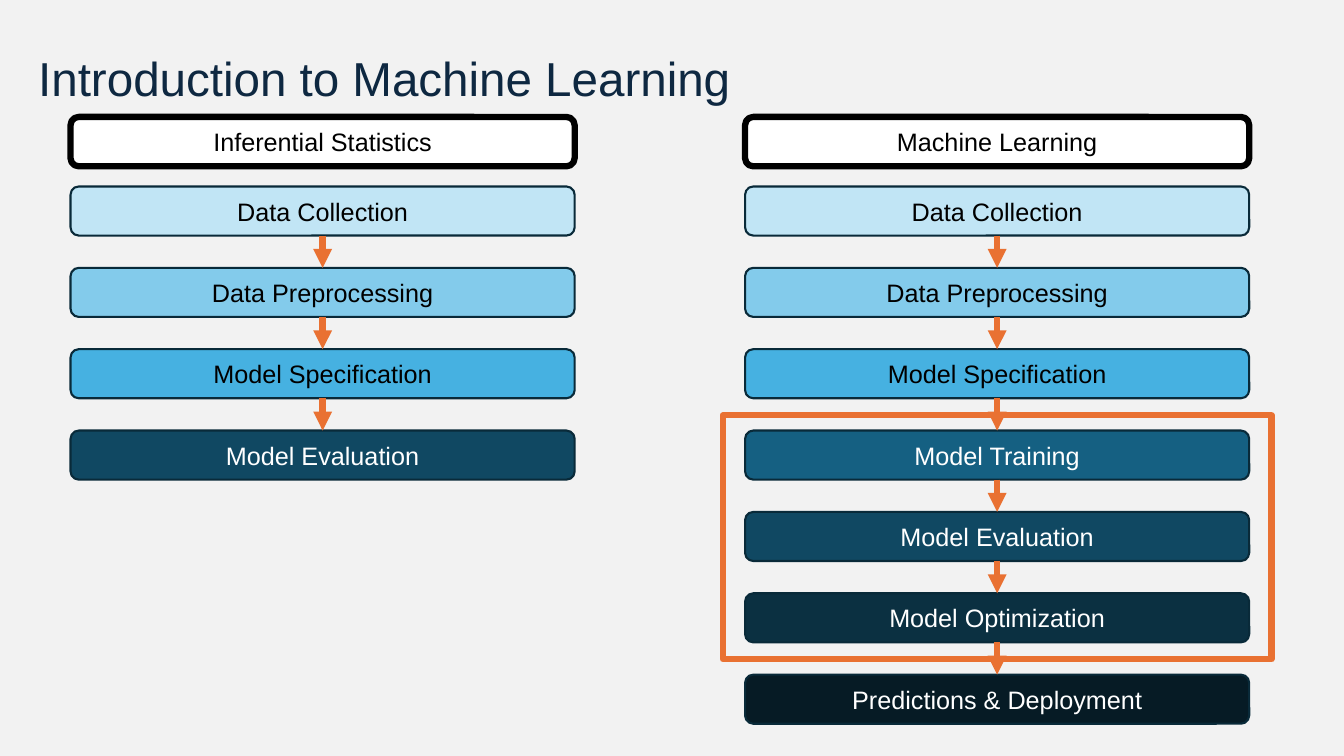
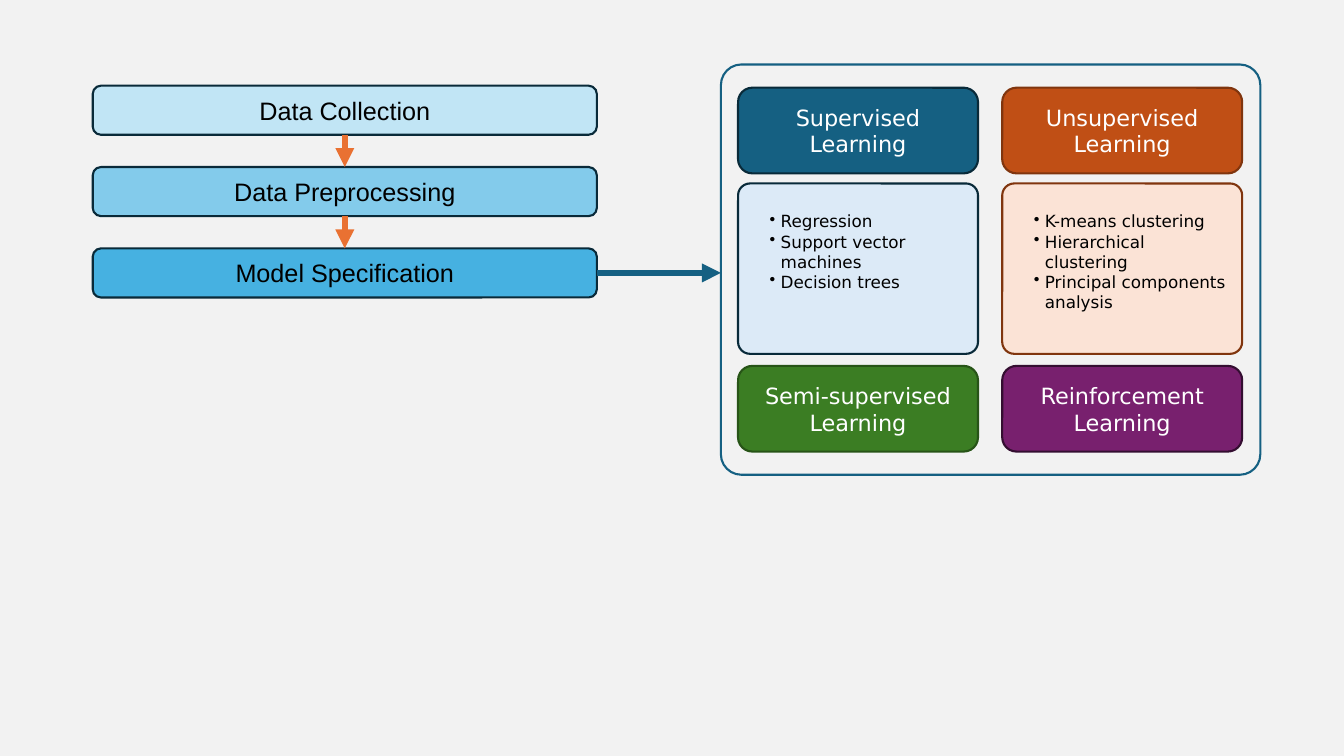
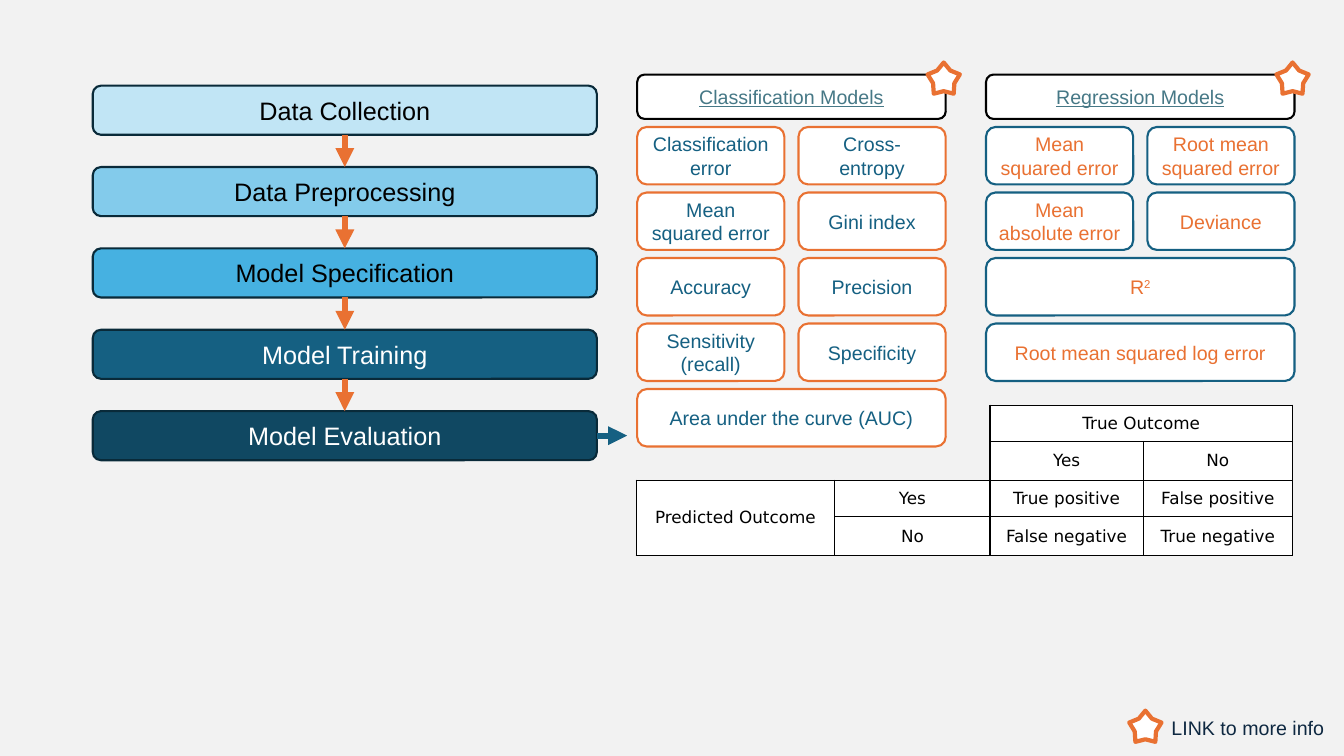
from dataclasses import dataclass

from lxml import etree
from pptx import Presentation
from pptx.dml.color import RGBColor
from pptx.enum.shapes import MSO_CONNECTOR, MSO_SHAPE
from pptx.enum.text import MSO_ANCHOR, PP_ALIGN
from pptx.oxml.ns import qn
from pptx.util import Inches, Pt

ROUND, RECT, STAR = MSO_SHAPE.ROUNDED_RECTANGLE, MSO_SHAPE.RECTANGLE, MSO_SHAPE.STAR_5_POINT
LINE = MSO_CONNECTOR.STRAIGHT
MID, TOP = MSO_ANCHOR.MIDDLE, MSO_ANCHOR.TOP
LEFT, CENTER = PP_ALIGN.LEFT, PP_ALIGN.CENTER


@dataclass(frozen=True)
class Theme:
    """Colours, fonts, type sizes and line widths of the deck."""
    page: str = "F2F2F2"
    white: str = "FFFFFF"
    black: str = "000000"
    navy: str = "0E2841"
    edge: str = "092A39"
    blue: str = "156082"
    orange: str = "E97132"
    link: str = "467886"
    sans: str = "Arial"
    alt: str = "DejaVu Sans"
    title: int = 34
    step: int = 18
    kind: int = 16
    note: int = 14
    small: int = 12
    thin: float = 1.5
    mid: float = 3
    thick: float = 4.5


T = Theme()

STEPS = {
    "Data Collection": ("C1E5F5", T.black),
    "Data Preprocessing": ("83CBEB", T.black),
    "Model Specification": ("46B1E1", T.black),
    "Model Training": (T.blue, T.white),
    "Model Evaluation": ("104862", T.white),
    "Model Optimization": ("0B3041", T.white),
    "Predictions & Deployment": ("061B25", T.white),
}
NAMES = list(STEPS)

KINDS = [
    ("Supervised Learning", T.blue, T.edge, "DCEAF7",
     ["Regression", "Support vector machines", "Decision trees"],
     "Semi-supervised Learning", "3B7D23", "275417"),
    ("Unsupervised Learning", "C04F15", "80350E", "FBE3D6",
     ["K-means clustering", "Hierarchical clustering", "Principal components analysis"],
     "Reinforcement Learning", "78206E", "340E31"),
]

CLASSES = [
    ("Classification error", "Cross-entropy"),
    ("Mean squared error", "Gini index"),
    ("Accuracy", "Precision"),
    ("Sensitivity (recall)", "Specificity"),
    ("Area under the curve (AUC)",),
]
REGRESS = [
    ("Mean squared error", "Root mean squared error"),
    ("Mean absolute error", "Deviance"),
    ("R^2",),
    ("Root mean squared log error",),
]

MATRIX = [
    ["", "", "True Outcome", ""],
    ["", "", "Yes", "No"],
    ["Predicted Outcome", "Yes", "True positive", "False positive"],
    ["", "No", "False negative", "True negative"],
]
MERGES = [(0, 0, 1, 1), (0, 2, 0, 3), (2, 0, 3, 0)]


@dataclass(frozen=True)
class Box:
    """A rectangle in inches that can be cut into parts."""
    x: float
    y: float
    w: float
    h: float

    def cell(self, col, row, cols, rows, gapx=0, gapy=0):
        """Return one cell of an even grid."""
        w = (self.w - gapx * (cols - 1)) / cols
        h = (self.h - gapy * (rows - 1)) / rows
        return Box(self.x + col * (w + gapx), self.y + row * (h + gapy), w, h)

    def band(self, top, high):
        """Return a full-width strip at an offset from the top."""
        return Box(self.x, self.y + top, self.w, high)

    def emu(self):
        """Return the box as python-pptx lengths."""
        return [Inches(v) for v in (self.x, self.y, self.w, self.h)]


def rgb(code):
    """Turn a hex code into a colour."""
    return RGBColor.from_string(code)


def write(para, text, size, ink, font=T.sans, align=CENTER, under=False):
    """Add text in runs; what follows a caret is superscript."""
    para.alignment = align
    for i, part in enumerate(text.split("^")):
        run = para.add_run()
        run.text = part
        run.font.size, run.font.name = Pt(size), font
        run.font.color.rgb = rgb(ink)
        if under:
            run.font.underline = True
        if i:
            run.font._element.set("baseline", "30000")


def shape(slide, box, fill, edge, width=T.thin, form=ROUND, adj=None):
    """Draw a preset shape with an optional fill."""
    item = slide.shapes.add_shape(form, *box.emu())
    item.shadow.inherit = False
    if fill:
        item.fill.solid()
        item.fill.fore_color.rgb = rgb(fill)
    else:
        item.fill.background()
    item.line.color.rgb = rgb(edge)
    item.line.width = Pt(width)
    if adj is not None:
        item.adjustments[0] = adj
    return item


def tile(slide, box, text, fill, edge, ink, size, font=T.sans, width=T.thin, under=False):
    """Draw a rounded box with a centred label."""
    item = shape(slide, box, fill, edge, width)
    frame = item.text_frame
    frame.word_wrap, frame.vertical_anchor = True, MID
    write(frame.paragraphs[0], text, size, ink, font, under=under)
    return item


def label(slide, box, text, size, anchor=TOP, wrap=True, lead=None):
    """Place plain navy text."""
    frame = slide.shapes.add_textbox(*box.emu()).text_frame
    frame.word_wrap, frame.vertical_anchor = wrap, anchor
    para = frame.paragraphs[0]
    if lead:
        para.line_spacing = lead
    write(para, text, size, T.navy, align=LEFT)


def arrow(slide, x1, y1, x2, y2, ink):
    """Draw a thick arrow between two points."""
    item = slide.shapes.add_connector(LINE, *[Inches(v) for v in (x1, y1, x2, y2)])
    item.line.color.rgb = rgb(ink)
    item.line.width = Pt(T.thick)
    props = item._element.spPr
    etree.SubElement(props.find(qn("a:ln")), qn("a:tailEnd"), type="triangle")
    etree.SubElement(props, qn("a:effectLst"))
    return item


def flow(slide, box, names):
    """Stack steps on a seven-row grid, joined by arrows; return the last cell."""
    prior = None
    for i, name in enumerate(names):
        cell = box.cell(0, i, 1, 7, gapy=0.32)
        fill, ink = STEPS[name]
        item = tile(slide, cell, name, fill, T.edge, ink, T.step)
        if prior:
            link = arrow(slide, 0, 0, 0, 0, T.orange)
            link.begin_connect(prior, 2)
            link.end_connect(item, 0)
        prior = item
    return cell


def bullets(slide, box, lines, fill, edge):
    """Draw a rounded box with a bulleted list."""
    frame = shape(slide, box, fill, edge, adj=0.07).text_frame
    frame.word_wrap, frame.vertical_anchor = True, TOP
    frame.margin_top = Inches(0.24)
    for i, line in enumerate(lines):
        para = frame.add_paragraph() if i else frame.paragraphs[0]
        props = para._p.get_or_add_pPr()
        props.set("marL", str(Inches(0.29)))
        props.set("indent", str(Inches(-0.11)))
        etree.SubElement(props, qn("a:buChar"), char="•")
        write(para, line, T.small, T.black, T.alt, LEFT)


def panel(slide, box):
    """Frame the four kinds of learning in two columns."""
    shape(slide, box, None, T.blue, adj=0.05)
    inner = Box(box.x + 0.17, box.y + 0.23, box.w - 0.35, box.h - 0.46)
    for i, (head, fill, edge, pale, lines, foot, base, rim) in enumerate(KINDS):
        col = inner.cell(i, 0, 2, 1, gapx=0.24)
        tile(slide, col.band(0, 0.85), head, fill, edge, T.white, T.kind, T.alt)
        bullets(slide, col.band(0.95, 1.69), lines, pale, edge)
        tile(slide, col.band(2.76, 0.85), foot, base, rim, T.white, T.kind, T.alt)


def star(slide, x, y):
    """Draw the marker of a linked item."""
    shape(slide, Box(x, y, 0.32, 0.31), T.white, T.orange, T.mid, STAR, 0.33)


def metrics(slide, box, head, rows, edge, ink):
    """Place a starred heading over a two-column grid of metrics."""
    tile(slide, box.band(0, 0.44), head, T.white, T.black, T.link, T.note, under=True)
    star(slide, box.x + 2.88, box.y - 0.12)
    body = box.band(0.52, box.h - 0.52)
    for r, row in enumerate(rows):
        for c, text in enumerate(row):
            cell = body.cell(c, r, len(row), 5, 0.14, 0.08)
            tile(slide, cell, text, T.white, edge, ink, T.note)


def border(cell, side, ink):
    """Set one border of a table cell, or clear it."""
    line = etree.SubElement(cell._tc.get_or_add_tcPr(), qn("a:ln" + side), w=str(Pt(1)))
    if ink:
        fill = etree.SubElement(line, qn("a:solidFill"))
        etree.SubElement(fill, qn("a:srgbClr"), val=ink)
    else:
        etree.SubElement(line, qn("a:noFill"))


def matrix(slide, box):
    """Build the confusion matrix with an open top left corner."""
    table = slide.shapes.add_table(4, 4, *box.emu()).table
    table.first_row = table.horz_banding = False
    for col, w in zip(table.columns, (1.97, 1.54, 1.52, 1.48)):
        col.width = Inches(w)
    for row, h in zip(table.rows, (0.36, 0.36, 0.36, 0.39)):
        row.height = Inches(h)
    for r1, c1, r2, c2 in MERGES:
        table.cell(r1, c1).merge(table.cell(r2, c2))
    for r, row in enumerate(MATRIX):
        for c, text in enumerate(row):
            cell, blank = table.cell(r, c), r < 2 and c < 2
            for side in "LRTB":
                border(cell, side, None if blank and side in "LT" else T.black)
            if blank:
                cell.fill.background()
            else:
                cell.fill.solid()
                cell.fill.fore_color.rgb = rgb(T.white)
            cell.vertical_anchor = MID
            cell.margin_left = cell.margin_right = Inches(0.09)
            cell.margin_top = cell.margin_bottom = Inches(0.04)
            if text:
                write(cell.text_frame.paragraphs[0], text, T.small, T.black, T.alt)


def intro(slide):
    """Compare the steps of statistics and machine learning."""
    label(slide, Box(0.28, 0.4, 7.11, 0.81), "Introduction to Machine Learning",
          T.title, MID, lead=0.9)
    short = NAMES[:3] + ["Model Evaluation"]
    sides = [(0.7, "Inferential Statistics", short), (7.39, "Machine Learning", NAMES)]
    for x, head, names in sides:
        box = Box(x, 1.85, 5, 5.33)
        flow(slide, box, names)
        tile(slide, box.band(-0.69, 0.49), head, T.white, T.black, T.black,
             T.step, width=T.thick)
    shape(slide, Box(7.17, 4.12, 5.44, 2.42), None, T.orange, T.thick, RECT)


def steps(slide, count, end):
    """Place the first steps at the left with an arrow to the right."""
    last = flow(slide, Box(0.92, 0.85, 5, 5.33), NAMES[:count])
    y = last.y + last.h / 2
    arrow(slide, last.x + last.w, y, end, y, T.blue)


def models(slide):
    """Show the kinds of learning behind model specification."""
    box = Box(7.15, 0.64, 5.35, 4.07)
    panel(slide, box)
    steps(slide, 3, box.x)


def scores(slide):
    """Show the metrics behind model evaluation."""
    steps(slide, 5, 6.22)
    area = Box(6.32, 0.74, 3.06, 3.69)
    metrics(slide, area, "Classification Models", CLASSES, T.orange, T.blue)
    matrix(slide, Box(6.31, 4.02, 6.51, 1.47))
    area = Box(9.78, area.y, area.w, area.h)
    metrics(slide, area, "Regression Models", REGRESS, T.blue, T.orange)
    star(slide, 11.2, 7.05)
    label(slide, Box(11.52, 7.05, 1.73, 0.34), "LINK to more info", T.note, wrap=False)


def main():
    """Build and save the deck."""
    deck = Presentation()
    deck.slide_width, deck.slide_height = Inches(13.33), Inches(7.5)
    back = deck.slide_master.background.fill
    back.solid()
    back.fore_color.rgb = rgb(T.page)
    for build in (intro, models, scores):
        build(deck.slides.add_slide(deck.slide_layouts[6]))
    deck.save("out.pptx")


if __name__ == "__main__":
    main()
